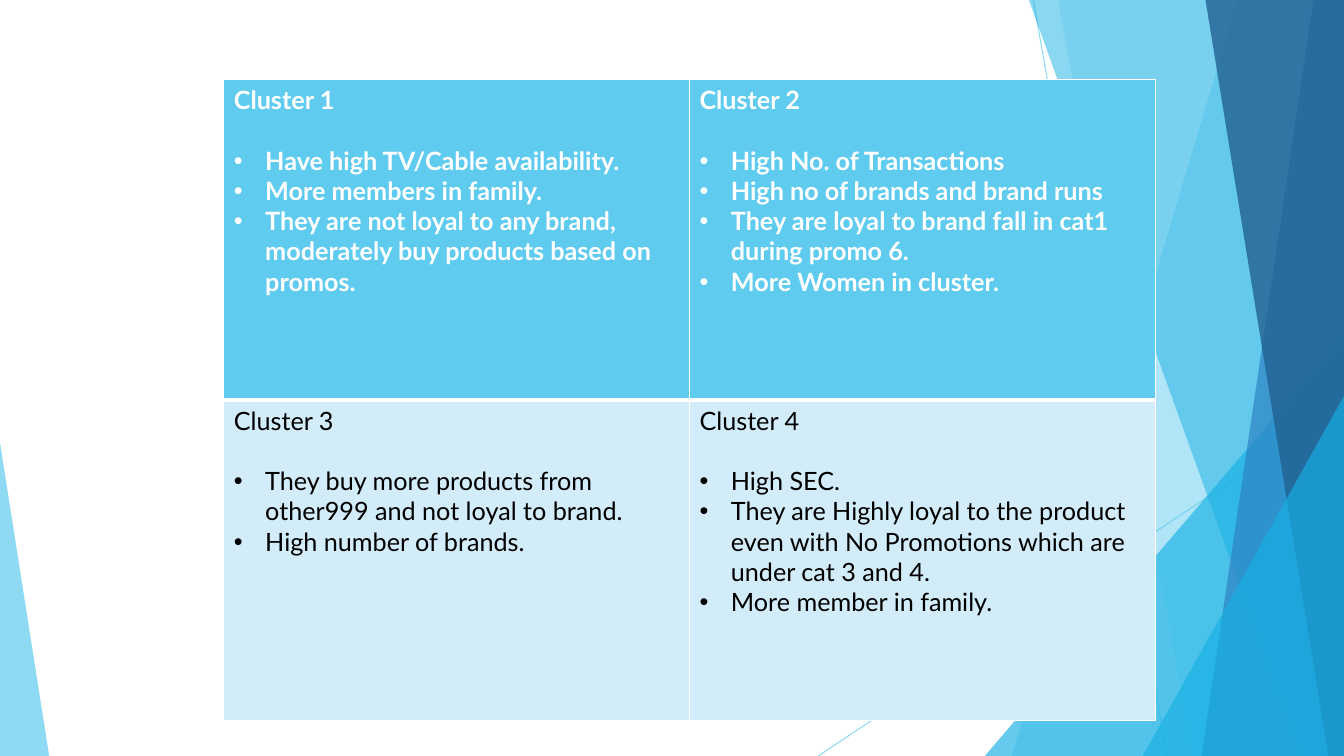
from dataclasses import dataclass
from lxml import etree
from pptx import Presentation
from pptx import util as u
from pptx.dml.color import RGBColor
from pptx.enum import shapes, text
from pptx.oxml import ns

WIDE, HIGH = 33.87, 19.05
FONT = "Lato"
SKY, AZURE, BLUE, NAVY = "5FCBEF", "17B0E4", "2E83C3", "226292"
PALE, WHITE, BLACK = "D2ECF9", "FFFFFF", "000000"


@dataclass
class Ray:
    x1: float
    y1: float
    x2: float


@dataclass
class Facet:
    top: float
    base: float
    color: str
    alpha: int


@dataclass
class Wedge:
    left: float
    top: float
    width: float
    tip: float
    color: str
    alpha: int


@dataclass
class Cluster:
    head: str
    points: list[str]


@dataclass
class Look:
    fill: str
    ink: str
    bold: bool
    edges: dict[str, int]


RAYS = [Ray(26.04, 0, 29.41), Ray(WIDE, 10.24, 20.62)]
SHARDS = [
    Facet(31.19, 25.5, SKY, 36),
    Facet(26.67, 30.05, SKY, 20),
    Wedge(24.82, 8.46, 9.05, 1, AZURE, 66),
    Facet(25.93, 32.79, AZURE, 50),
    Facet(33.1, 30.28, BLUE, 70),
    Facet(30.38, 33.48, NAVY, 80),
    Wedge(28.8, 9.98, 5.07, 1, AZURE, 66),
    Wedge(0, 11.15, 1.24, 0, SKY, 70),
]
LOOKS = [
    Look(SKY, WHITE, True, {"L": 1, "R": 1, "T": 1, "B": 3}),
    Look(PALE, BLACK, False, {"L": 1, "R": 1, "T": 3, "B": 1}),
]
GRID = [
    [
        Cluster("Cluster 1", [
            "Have high TV/Cable availability.",
            "More members in family.",
            "They are not loyal to any brand, moderately buy products based on promos.",
        ]),
        Cluster("Cluster 2", [
            "High No. of Transactions",
            "High no of brands and brand runs",
            "They are loyal to brand fall in cat1 during promo 6.",
            "More Women in cluster.",
        ]),
    ],
    [
        Cluster("Cluster 3", [
            "They buy more products from other999 and not loyal to brand.",
            "High number of brands.",
        ]),
        Cluster("Cluster 4", [
            "High SEC.",
            "They are Highly loyal to the product even with No Promotions which are under cat 3 and 4.",
            "More member in family.",
        ]),
    ],
]


def paint(fill, color: str) -> None:
    fill.solid()
    fill.fore_color.rgb = RGBColor.from_string(color)


def add(node, tag: str, **attrs: str):
    return etree.SubElement(node, ns.qn(tag), attrs)


def fade(shape, alpha: int) -> None:
    for tint in shape.element.spPr.iter(ns.qn("a:srgbClr")):
        add(tint, "a:alpha", val=str(alpha * 1000))


def draw_ray(slide, ray: Ray) -> None:
    ends = map(u.Cm, (ray.x1, ray.y1, ray.x2, HIGH))
    line = slide.shapes.add_connector(shapes.MSO_CONNECTOR.STRAIGHT, *ends)
    line.line.width = u.Pt(0.75)
    paint(line.line.fill, SKY)
    fade(line, 70)
    add(line.element.spPr, "a:effectLst")


def draw_shard(slide, shard: Facet | Wedge) -> None:
    if isinstance(shard, Facet):
        pen = slide.shapes.build_freeform(u.Cm(shard.top), 0)
        ring = [(WIDE, 0), (WIDE, HIGH), (shard.base, HIGH)]
        pen.add_line_segments([(u.Cm(x), u.Cm(y)) for x, y in ring], close=True)
        shape = pen.convert_to_shape()
    else:
        box = map(u.Cm, (shard.left, shard.top, shard.width, HIGH - shard.top))
        shape = slide.shapes.add_shape(shapes.MSO_SHAPE.ISOSCELES_TRIANGLE, *box)
        shape.adjustments[0] = shard.tip
    shape.shadow.inherit = False
    shape.line.fill.background()
    paint(shape.fill, shard.color)
    fade(shape, shard.alpha)


def add_run(para, words: str, look: Look) -> None:
    para.alignment = text.PP_ALIGN.LEFT
    run = para.add_run()
    run.text = words
    run.font.name = FONT
    run.font.size = u.Pt(18)
    run.font.bold = look.bold
    paint(run.font.fill, look.ink)


def add_point(frame, words: str, look: Look) -> None:
    para = frame.add_paragraph()
    add_run(para, words, look)
    props = para._p.get_or_add_pPr()
    dent = u.Cm(0.79)
    props.set("marL", str(dent))
    props.set("indent", str(-dent))
    add(props, "a:buFont", typeface="Arial")
    add(props, "a:buChar", char="•")


def add_edges(cell, edges: dict[str, int]) -> None:
    props = cell._tc.get_or_add_tcPr()
    for spot, (side, width) in enumerate(edges.items()):
        edge = add(props, f"a:ln{side}", w=str(u.Pt(width)))
        add(add(edge, "a:solidFill"), "a:srgbClr", val=WHITE)
        props.insert(spot, edge)


def fill_cell(cell, group: Cluster, look: Look) -> None:
    paint(cell.fill, look.fill)
    add_edges(cell, look.edges)
    frame = cell.text_frame
    head = frame.paragraphs[0]
    add_run(head, group.head, look)
    head.space_after = u.Pt(21.6)
    for point in group.points:
        add_point(frame, point, look)


def draw_table(slide) -> None:
    box = map(u.Cm, (5.64, 2.01, 23.47, 16.15))
    table = slide.shapes.add_table(len(GRID), len(GRID[0]), *box).table
    for r, (row, look) in enumerate(zip(GRID, LOOKS)):
        for c, group in enumerate(row):
            fill_cell(table.cell(r, c), group, look)


deck = Presentation()
deck.slide_width, deck.slide_height = u.Cm(WIDE), u.Cm(HIGH)
slide = deck.slides.add_slide(deck.slide_layouts[6])
paint(slide.background.fill, WHITE)
for ray in RAYS:
    draw_ray(slide, ray)
for shard in SHARDS:
    draw_shard(slide, shard)
draw_table(slide)
deck.save("out.pptx")
